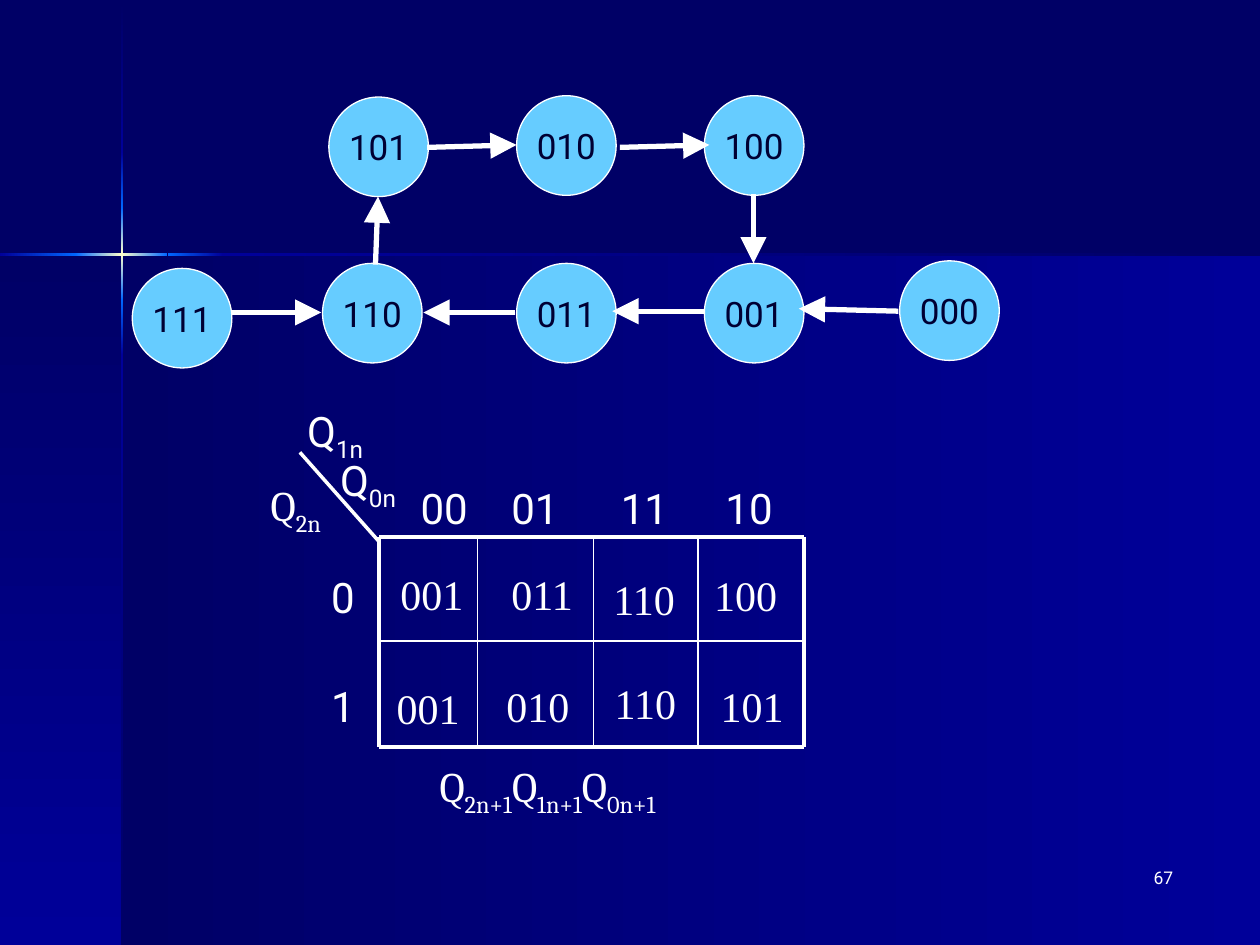
from dataclasses import dataclass
from typing import NamedTuple

from lxml.etree import SubElement
from copy import deepcopy
from pptx import Presentation
from pptx.dml.color import RGBColor
from pptx.enum.shapes import MSO_CONNECTOR, MSO_SHAPE
from pptx.enum.text import MSO_ANCHOR, PP_ALIGN
from pptx.oxml.ns import qn
from pptx.util import Inches, Pt


@dataclass(frozen=True)
class Theme:
    night: str = "000066"
    deep: str = "000099"
    beam: str = "0066FF"
    glow: str = "FFFFCC"
    white: str = "FFFFFF"
    state_fill: str = "66CCFF"
    state_text: str = "000033"
    sans: str = "Roboto"
    serif: str = "Cambria"
    digits: str = "Times New Roman"
    map_size: float = 24
    state_size: float = 20
    page_size: float = 10
    thin: float = 1
    diagonal: float = 2
    frame: float = 2.25
    arrow: float = 3


THEME = Theme()


class Panel(NamedTuple):
    left: float
    top: float
    width: float
    height: float
    colors: tuple[str, ...]
    vertical: bool


class State(NamedTuple):
    code: str
    left: float
    top: float


class Stroke(NamedTuple):
    start: tuple[float, float]
    end: tuple[float, float]
    weight: float
    arrow: bool = False


class Label(NamedTuple):
    text: str
    left: float
    top: float
    width: float
    font: str = THEME.sans
    height: float = 0.5


SIDE = 0.97  # width of the left band
HORIZON = 2.02  # height of the dark band at the top
BEAM = 0.02
RISE = (THEME.night, THEME.deep)
FLARE = (THEME.deep, THEME.beam)
GLINT = (THEME.beam, THEME.glow, THEME.beam)
BEAM_X, BEAM_Y = SIDE - BEAM / 2, HORIZON - BEAM / 2

PANELS = [
    Panel(SIDE, HORIZON, 10 - SIDE, 7.5 - HORIZON, RISE, False),
    Panel(0, HORIZON, SIDE, 7.5 - HORIZON, RISE, True),
    Panel(BEAM_X, 0.01, BEAM, 1.2, RISE, True),
    Panel(BEAM_X, 2.82, BEAM, 4.68, RISE[::-1], True),
    Panel(1.77, BEAM_Y, 8.23, BEAM, RISE[::-1], False),
    Panel(BEAM_X, 2.38, BEAM, 0.44, FLARE[::-1], True),
    Panel(BEAM_X, 1.21, BEAM, 0.44, FLARE, True),
    Panel(BEAM_X, 1.65, BEAM, 0.73, GLINT, True),
    Panel(0, BEAM_Y, 0.61, BEAM, FLARE, False),
    Panel(1.33, BEAM_Y, 0.44, BEAM, FLARE[::-1], False),
    Panel(0.6, BEAM_Y, 0.73, BEAM, GLINT, False),
]

STATE_DIAMETER = 0.79
STATES = [
    State("101", 2.61, 0.77), State("010", 4.1, 0.76), State("100", 5.59, 0.76),
    State("001", 5.59, 2.09), State("011", 4.1, 2.09), State("110", 2.56, 2.09),
    State("000", 7.14, 2.07), State("111", 1.05, 2.13),
]
TRANSITIONS = [
    Stroke(start, end, THEME.arrow, arrow=True)
    for start, end in [
        ((3.39, 1.17), (4.1, 1.15)), ((4.92, 1.17), (5.63, 1.15)),
        ((5.98, 1.54), (5.98, 2.09)), ((5.59, 2.47), (4.86, 2.47)),
        ((4.09, 2.48), (3.36, 2.48)), ((2.98, 2.1), (3, 1.56)),
        ((7.13, 2.47), (6.34, 2.45)), ((1.84, 2.48), (2.55, 2.48)),
    ]
]

MAP_COLUMNS = [3.01, 3.79, 4.71, 5.54, 6.38]
MAP_ROWS = [4.26, 5.09, 5.93]
MAP_DIAGONAL = Stroke((2.38, 3.59), (3.01, 4.3), THEME.diagonal)

# Text between underscores is set as a subscript.
AXIS_NAMES = [
    Label("Q_1n_", 2.34, 3.17, 0.73),
    Label("Q_0n_", 2.6, 3.56, 0.71),
    Label("Q_2n_", 2.05, 3.76, 0.74, THEME.serif),
]
ROW_HEADS = [Label("0", 2.53, 4.49, 0.63), Label("1", 2.53, 5.35, 0.63)]
COLUMN_HEADS = [
    Label(code, left, 3.78, 0.63)
    for code, left in [("00", 3.24), ("01", 3.96), ("11", 4.83), ("10", 5.66)]
]
NEXT_STATES = [
    Label(code, left, top, 0.75, THEME.digits)
    for code, left, top in [
        ("001", 3.08, 4.46), ("011", 3.96, 4.46), ("110", 4.77, 4.5), ("100", 5.57, 4.47),
        ("001", 3.05, 5.37), ("010", 3.92, 5.35), ("110", 4.78, 5.33), ("101", 5.62, 5.35),
    ]
]
MAP_CAPTION = Label("Q_2n+1_Q_1n+1_Q_0n+1_", 3.39, 5.99, 2.44, THEME.serif, 0.77)
PAGE_NUMBER = Label("67", 7.33, 6.83, 2.08)


def rgb(code: str) -> RGBColor:
    return RGBColor.from_string(code)


def write(frame, text: str, *, font: str = THEME.sans, size: float = THEME.map_size,
          color: str = THEME.white, align=PP_ALIGN.LEFT, anchor=MSO_ANCHOR.TOP) -> None:
    """Fill a text frame; parts between underscores become subscripts."""
    frame.word_wrap = True
    frame.vertical_anchor = anchor
    paragraph = frame.paragraphs[0]
    paragraph.alignment = align
    for index, part in enumerate(text.split("_")):
        if not part:
            continue
        run = paragraph.add_run()
        run.text = part
        run.font.name, run.font.size = font, Pt(size)
        run.font.color.rgb = rgb(color)
        if index % 2:
            run.font._element.set("baseline", "-25000")


def draw_panel(slide, panel: Panel) -> None:
    shape = slide.shapes.add_shape(MSO_SHAPE.RECTANGLE, *map(Inches, panel[:4]))
    shape.shadow.inherit = False
    shape.line.fill.background()
    fill = shape.fill
    fill.gradient()
    fill.gradient_angle = 270 if panel.vertical else 0
    stop_list = shape._element.spPr.find(".//" + qn("a:gsLst"))
    while len(stop_list) < len(panel.colors):
        stop_list.append(deepcopy(stop_list[0]))
    for index, (stop, color) in enumerate(zip(fill.gradient_stops, panel.colors)):
        stop.color.rgb = rgb(color)
        stop.position = index / (len(panel.colors) - 1)


def draw_stroke(slide, stroke: Stroke) -> None:
    connector = slide.shapes.add_connector(
        MSO_CONNECTOR.STRAIGHT, *map(Inches, stroke.start + stroke.end))
    connector.line.color.rgb = rgb(THEME.white)
    connector.line.width = Pt(stroke.weight)
    properties = connector._element.spPr
    if stroke.arrow:
        SubElement(properties.find(qn("a:ln")), qn("a:tailEnd"),
                   type="triangle", w="lg", len="lg")
    SubElement(properties, qn("a:effectLst"))


def draw_state(slide, state: State) -> None:
    circle = slide.shapes.add_shape(
        MSO_SHAPE.OVAL, Inches(state.left), Inches(state.top),
        Inches(STATE_DIAMETER), Inches(STATE_DIAMETER))
    circle.shadow.inherit = False
    circle.fill.solid()
    circle.fill.fore_color.rgb = rgb(THEME.state_fill)
    circle.line.color.rgb = rgb(THEME.white)
    circle.line.width = Pt(0.75)
    frame = circle.text_frame
    frame.margin_left = frame.margin_right = frame.margin_top = frame.margin_bottom = 0
    write(frame, state.code, size=THEME.state_size, color=THEME.state_text,
          align=PP_ALIGN.CENTER, anchor=MSO_ANCHOR.MIDDLE)


def draw_label(slide, label: Label, **style) -> None:
    box = slide.shapes.add_textbox(*map(
        Inches, (label.left, label.top, label.width, label.height)))
    write(box.text_frame, label.text, font=label.font, **style)


def draw_map_grid(slide) -> None:
    """Rule the map with a heavy frame and thin inner lines."""
    left, right, top, bottom = MAP_COLUMNS[0], MAP_COLUMNS[-1], MAP_ROWS[0], MAP_ROWS[-1]
    for y in MAP_ROWS:
        weight = THEME.frame if y in (top, bottom) else THEME.thin
        draw_stroke(slide, Stroke((left, y), (right, y), weight))
    for x in MAP_COLUMNS:
        weight = THEME.frame if x in (left, right) else THEME.thin
        draw_stroke(slide, Stroke((x, top), (x, bottom), weight))


def main() -> None:
    deck = Presentation()
    deck.slide_width, deck.slide_height = Inches(10), Inches(7.5)
    slide = deck.slides.add_slide(deck.slide_layouts[6])
    slide.background.fill.solid()
    slide.background.fill.fore_color.rgb = rgb(THEME.night)
    for panel in PANELS:
        draw_panel(slide, panel)
    draw_label(slide, PAGE_NUMBER, size=THEME.page_size, align=PP_ALIGN.RIGHT)
    draw_map_grid(slide)
    draw_stroke(slide, MAP_DIAGONAL)
    for label in AXIS_NAMES + ROW_HEADS + COLUMN_HEADS + [MAP_CAPTION]:
        draw_label(slide, label)
    for label in NEXT_STATES:
        draw_label(slide, label, anchor=MSO_ANCHOR.MIDDLE)
    for state in STATES:
        draw_state(slide, state)
    for transition in TRANSITIONS:
        draw_stroke(slide, transition)
    deck.save("out.pptx")


if __name__ == "__main__":
    main()
